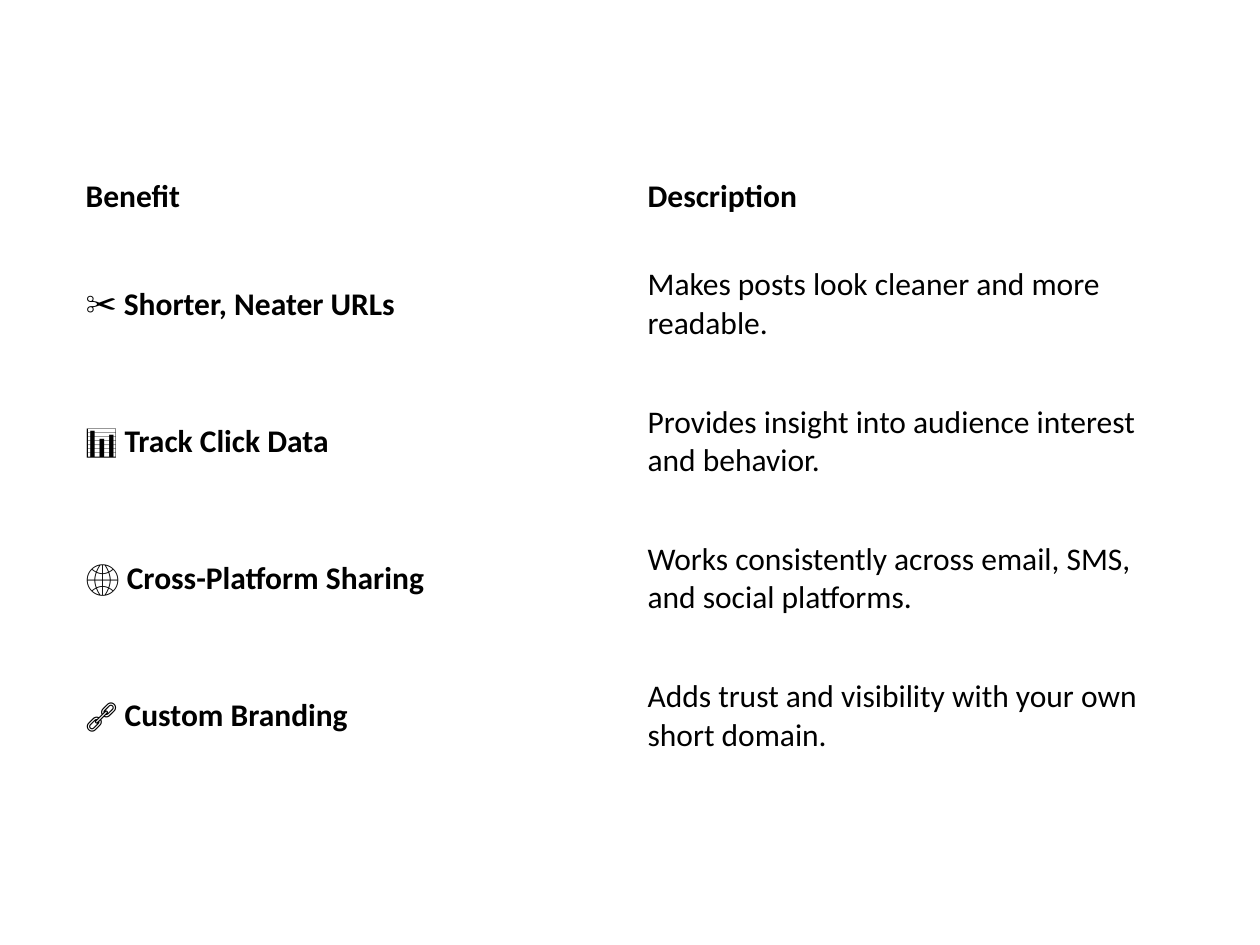
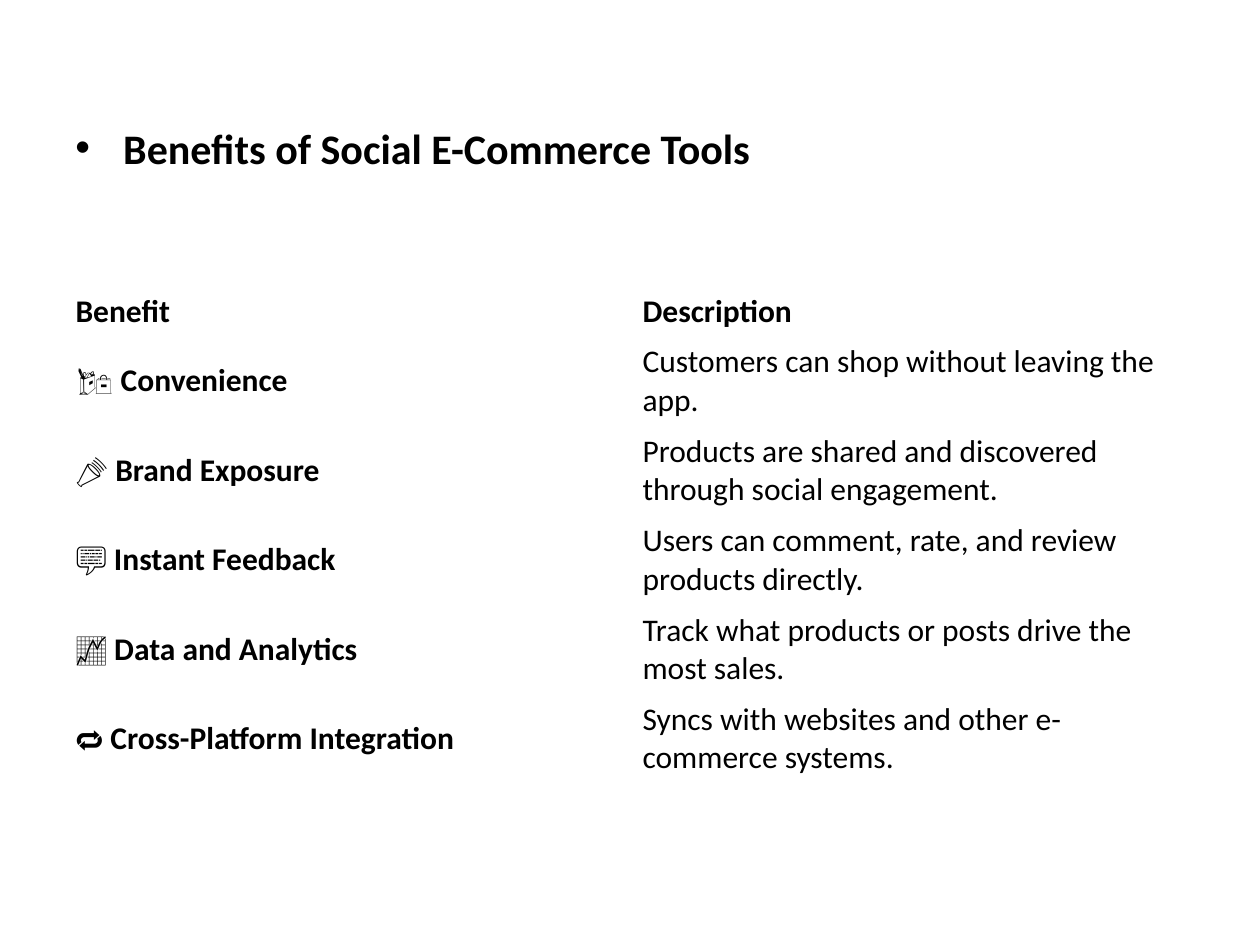
from lxml.etree import SubElement
from pptx import Presentation
from pptx.dml.color import RGBColor
from pptx.enum.text import MSO_ANCHOR
from pptx.oxml.ns import qn
from pptx.util import Inches, Pt

BLACK = RGBColor(0, 0, 0)
FONT = "Calibri"
BODY_SIZE, TITLE_SIZE = 18, 24
HEADER = ("Benefit", "Description")

SLIDES = [
    {
        "title": None,
        "left": 0.58, "top": 1.25, "width": 8.92,
        "header_height": 0.62, "row_height": 1.09,
        "rows": [
            ("✂️", "Shorter, Neater URLs", "Makes posts look cleaner and more readable."),
            ("📊", "Track Click Data", "Provides insight into audience interest and behavior."),
            ("🌐", "Cross-Platform Sharing", "Works consistently across email, SMS, and social platforms."),
            ("🔗", "Custom Branding", "Adds trust and visibility with your own short domain."),
        ],
    },
    {
        "title": "Benefits of Social E-Commerce Tools",
        "left": 0.5, "top": 2.27, "width": 9,
        "header_height": 0.4, "row_height": 0.71,
        "rows": [
            ("🛍️", "Convenience", "Customers can shop without leaving the app."),
            ("📣", "Brand Exposure", "Products are shared and discovered through social engagement."),
            ("💬", "Instant Feedback", "Users can comment, rate, and review products directly."),
            ("📈", "Data and Analytics", "Track what products or posts drive the most sales."),
            ("🔁", "Cross-Platform Integration", "Syncs with websites and other e-commerce systems."),
        ],
    },
]


def add_run(p, text, bold=False, size=BODY_SIZE):
    r = p.add_run()
    r.text = text
    r.font.name = FONT
    r.font.size = Pt(size)
    r.font.bold = bold
    r.font.color.rgb = BLACK


def add_title(s, text):
    tf = s.shapes.add_textbox(Inches(0.5), Inches(0.92), Inches(9), Inches(5.78)).text_frame
    tf.word_wrap = True
    p = tf.paragraphs[0]
    pPr = p._p.get_or_add_pPr()
    pPr.set("marL", str(Inches(0.38)))
    pPr.set("indent", str(-Inches(0.38)))
    SubElement(pPr, qn("a:buFont"), typeface="Arial")
    SubElement(pPr, qn("a:buChar"), char="•")
    add_run(p, text, True, TITLE_SIZE)


def fill_cell(cell, runs):
    cell.fill.background()
    cell.vertical_anchor = MSO_ANCHOR.MIDDLE
    for text, bold in runs:
        add_run(cell.text_frame.paragraphs[0], text, bold)


def add_benefits(s, data):
    rows = [[[(name, True)] for name in HEADER]]
    rows += [[[(icon + " ", False), (name, True)], [(about, False)]]
             for icon, name, about in data["rows"]]
    heights = [data["header_height"]] + [data["row_height"]] * len(data["rows"])
    box = (data["left"], data["top"], data["width"], sum(heights))
    table = s.shapes.add_table(len(rows), len(HEADER), *map(Inches, box)).table
    table.first_row = table.horz_banding = False
    for col in table.columns:
        col.width = Inches(data["width"] / len(HEADER))
    for i, (row, height) in enumerate(zip(rows, heights)):
        table.rows[i].height = Inches(height)
        for j, runs in enumerate(row):
            fill_cell(table.cell(i, j), runs)


def main():
    prs = Presentation()
    prs.slide_width, prs.slide_height = Inches(10), Inches(7.5)
    for data in SLIDES:
        s = prs.slides.add_slide(prs.slide_layouts[6])
        if data["title"]:
            add_title(s, data["title"])
        add_benefits(s, data)
    prs.save("out.pptx")


if __name__ == "__main__":
    main()
